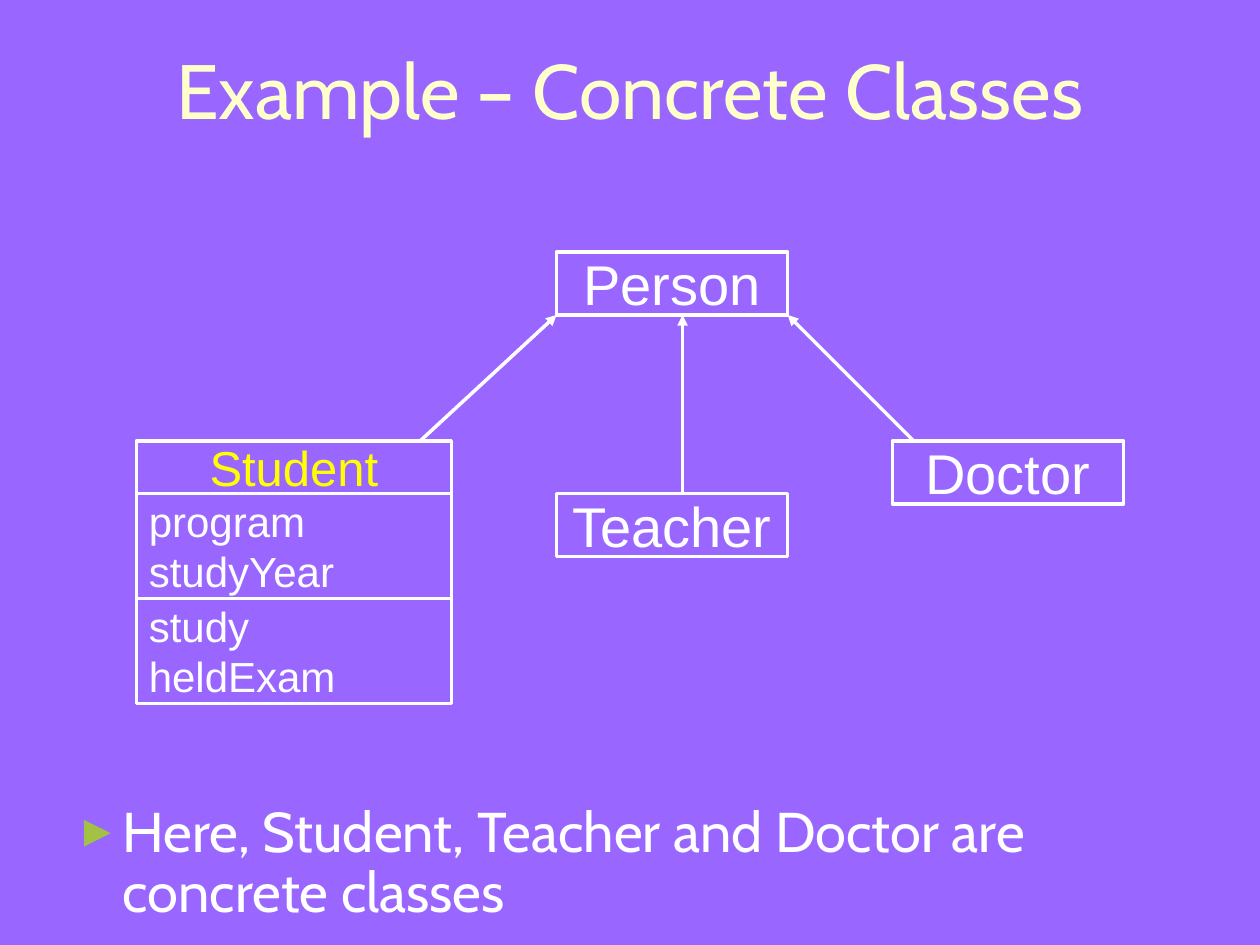
from lxml.etree import SubElement
from pptx import Presentation
from pptx.dml.color import RGBColor
from pptx.enum.shapes import MSO_CONNECTOR, MSO_SHAPE
from pptx.enum.text import MSO_ANCHOR, PP_ALIGN
from pptx.oxml.ns import qn
from pptx.util import Cm, Pt

WHITE = "FFFFFF"


def paint(part, color):
    """Set the colour of a font, or make a fill solid in that colour."""
    if hasattr(part, "solid"):
        part.solid()
        part.fore_color.rgb = RGBColor.from_string(color)
    else:
        part.color.rgb = RGBColor.from_string(color)


def write(shape, text, size, face, color, align, anchor):
    """Put text in a shape and format every run."""
    frame = shape.text_frame
    frame.text = text
    frame.word_wrap = True
    frame.vertical_anchor = anchor
    for para in frame.paragraphs:
        para.alignment = align
        for run in para.runs:
            run.font.name = face
            run.font.size = Pt(size)
            paint(run.font, color)


def add_title(slide, left, top, width, height):
    """Place the title centred in its box."""
    box = slide.shapes.add_textbox(Cm(left), Cm(top), Cm(width), Cm(height))
    write(box, "Example – Concrete Classes", 44, "Cabin", "FFFFCC",
          PP_ALIGN.CENTER, MSO_ANCHOR.MIDDLE)


def add_note(slide, left, top, width, height):
    """Place the bulleted remark in its box."""
    box = slide.shapes.add_textbox(Cm(left), Cm(top), Cm(width), Cm(height))
    write(box, "Here, Student, Teacher and Doctor are concrete classes",
          32, "Cabin", WHITE, PP_ALIGN.LEFT, MSO_ANCHOR.TOP)
    para = box.text_frame.paragraphs[0]
    para.line_spacing = 0.9
    para.space_before = Pt(8)
    props = para._p.get_or_add_pPr()
    props.set("marL", str(Cm(0.95)))
    props.set("indent", str(Cm(-0.95)))
    tint = SubElement(props, qn("a:buClr"))
    SubElement(tint, qn("a:srgbClr"), val="A3C145")
    SubElement(props, qn("a:buSzPct"), val="80000")
    SubElement(props, qn("a:buFont"), typeface="Arial")
    SubElement(props, qn("a:buChar"), char="►")


def add_box(slide, left, top, width, height, text, size=32, color=WHITE,
            align=PP_ALIGN.CENTER):
    """Draw one outlined rectangle of the class diagram."""
    box = slide.shapes.add_shape(MSO_SHAPE.RECTANGLE, Cm(left), Cm(top),
                                 Cm(width), Cm(height))
    box.shadow.inherit = False
    box.fill.background()
    paint(box.line, WHITE)
    box.line.width = Pt(2)
    write(box, text, size, "Arial", color, align, MSO_ANCHOR.MIDDLE)


def add_arrow(slide, start, end):
    """Draw a line with a triangle head at its end."""
    line = slide.shapes.add_connector(MSO_CONNECTOR.STRAIGHT,
                                      *map(Cm, start), *map(Cm, end))
    paint(line.line, WHITE)
    line.line.width = Pt(2)
    SubElement(line.line._get_or_add_ln(), qn("a:tailEnd"), type="triangle")
    SubElement(line._element.spPr, qn("a:effectLst"))


def add_student(slide, left, top, width, height):
    """Stack the name, fields and methods of the Student class."""
    unit = height / 5
    add_box(slide, left, top, width, unit, "Student", 28, "FFFF00")
    for row, text in enumerate(("program\nstudyYear", "study\nheldExam")):
        add_box(slide, left, top + (1 + 2 * row) * unit, width, 2 * unit,
                text, 24, align=PP_ALIGN.LEFT)


def add_tree(slide, left, top):
    """Draw the classes and their arrows from a top left corner."""
    wide, high = 4.66, 1.27
    mid, low, deep = left + 8.47, top + 3 * high, top + 4.87
    base = top + high
    add_box(slide, mid, deep, wide, high, "Teacher")
    add_box(slide, left + 15.24, low, wide, high, "Doctor")
    add_arrow(slide, (left + 11.01, deep), (left + 11.01, base))
    add_arrow(slide, (left + 5.72, low), (mid, base))
    add_arrow(slide, (left + 15.67, low), (mid + wide, base))
    add_student(slide, left, low, 6.35, 5.29)
    add_box(slide, mid, top, wide, high, "Person")


def main():
    """Build the slide and save it."""
    deck = Presentation()
    deck.slide_width, deck.slide_height = Cm(25.4), Cm(19.05)
    slide = deck.slides.add_slide(deck.slide_layouts[6])
    paint(slide.background.fill, "9966FF")
    add_title(slide, 1.27, 0.2, 22.86, 3.18)
    add_note(slide, 1.27, 16.08, 22.86, 2.74)
    add_tree(slide, 2.75, 5.08)
    deck.save("out.pptx")


if __name__ == "__main__":
    main()
